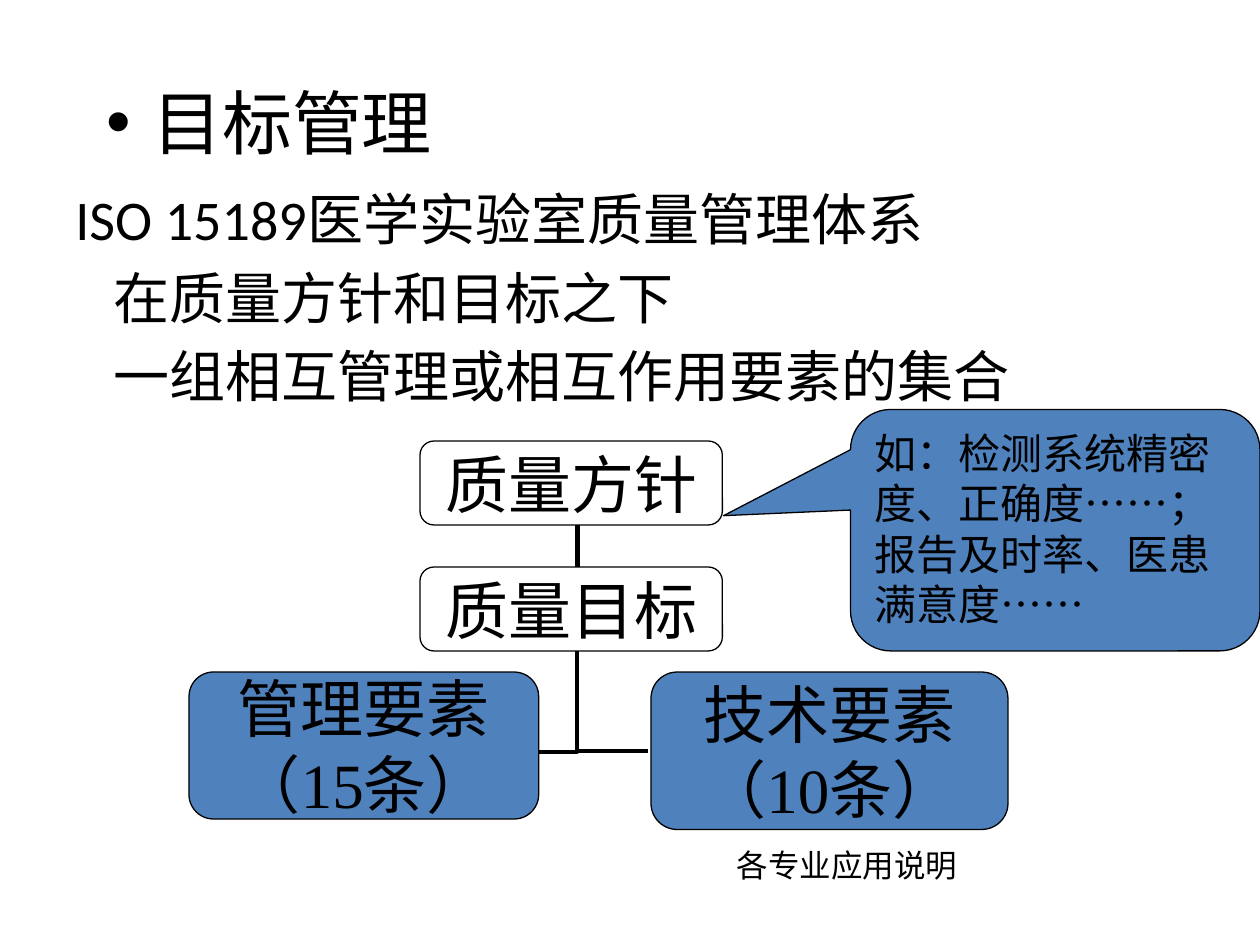
from lxml import etree
from pptx import Presentation
from pptx.dml.color import RGBColor
from pptx.enum.shapes import MSO_CONNECTOR, MSO_SHAPE
from pptx.enum.text import MSO_ANCHOR, PP_ALIGN
from pptx.oxml.ns import qn
from pptx.util import Inches, Pt

STRAIGHT, ELBOW = MSO_CONNECTOR.STRAIGHT, MSO_CONNECTOR.ELBOW
ROUNDED = MSO_SHAPE.ROUNDED_RECTANGLE
CALLOUT = MSO_SHAPE.ROUNDED_RECTANGULAR_CALLOUT
TOP, MIDDLE = MSO_ANCHOR.TOP, MSO_ANCHOR.MIDDLE
LEFT, CENTER = PP_ALIGN.LEFT, PP_ALIGN.CENTER

BLACK = RGBColor(0x00, 0x00, 0x00)
WHITE = RGBColor(0xFF, 0xFF, 0xFF)
BLUE = RGBColor(0x4F, 0x81, 0xBD)
SANS, CJK, SERIF = "Calibri", "Noto Sans CJK SC", "Times New Roman"
UNITS_PER_INCH = 12
TRUNK = 55


def grid(*units):
    """Turn grid units into slide lengths."""
    return [Inches(unit / UNITS_PER_INCH) for unit in units]


def add_span(para, text, size, font):
    """Add one black run to a paragraph."""
    span = para.add_run()
    span.text = text
    span.font.size = Pt(size)
    span.font.name = font
    span.font.color.rgb = BLACK


def indent(para, margin, first):
    """Set the left margin and first-line offset in inches."""
    props = para._p.get_or_add_pPr()
    props.set("marL", str(Inches(margin)))
    props.set("indent", str(Inches(first)))
    return props


def add_text(page, place, lines, size):
    """Add a text box whose lines are lists of (text, font) pairs."""
    frame = page.shapes.add_textbox(*grid(*place)).text_frame
    frame.word_wrap = True
    for number, spans in enumerate(lines):
        para = frame.add_paragraph() if number else frame.paragraphs[0]
        for text, font in spans:
            add_span(para, text, size, font)
    return frame.paragraphs


def add_heading(page):
    """Add the bulleted heading."""
    para = add_text(page, (9, 7, 54, 9.2), [[("目标管理", SANS)]], 40)[0]
    props = indent(para, 0.36, -0.36)
    etree.SubElement(props, qn("a:buFont")).set("typeface", "Arial")
    etree.SubElement(props, qn("a:buChar")).set("char", "•")


def add_definition(page):
    """Add the three-line definition with its later lines indented."""
    lines = [
        [("ISO 15189", SANS), ("医学实验室质量管理体系", CJK)],
        [("在质量方针和目标之下", CJK)],
        [("一组相互管理或相互作用要素的集合", CJK)],
    ]
    first, *rest = add_text(page, (6, 17, 108, 31.8), lines, 32)
    indent(first, 0.67, -0.67)
    for para in rest:
        indent(para, 0.67, -0.37)
        para.space_before = Pt(6.4)


def add_box(page, kind, place, fill, lines, size, font, align):
    """Add a filled, outlined shape with its text."""
    box = page.shapes.add_shape(kind, *grid(*place))
    box.shadow.inherit = False
    box.fill.solid()
    box.fill.fore_color.rgb = fill
    box.line.color.rgb = BLACK
    box.line.width = Pt(0.75)
    frame = box.text_frame
    for number, text in enumerate(lines):
        para = frame.add_paragraph() if number else frame.paragraphs[0]
        para.alignment = align
        add_span(para, text, size, font)
    return box


def add_node(page, place, fill, *lines):
    """Add a rounded chart node with centred text."""
    box = add_box(page, ROUNDED, place, fill, lines, 36, SERIF, CENTER)
    frame = box.text_frame
    frame.vertical_anchor = MIDDLE
    frame.word_wrap = False
    frame.margin_left = frame.margin_right = 0
    frame.margin_top = frame.margin_bottom = 0


def add_callout(page):
    """Add the callout that points at the policy node."""
    text = "如：检测系统精密度、正确度……；报告及时率、医患满意度……"
    box = add_box(page, CALLOUT, (81, 39, 39, 23), BLUE, [text], 24, SANS, LEFT)
    box.adjustments[0] = -0.81
    box.adjustments[1] = -0.06
    box.text_frame.vertical_anchor = TOP
    box.text_frame.word_wrap = True


def add_link(page, kind, ends, width):
    """Add a black connector; an elbow gets a single bend."""
    link = page.shapes.add_connector(kind, *grid(*ends))
    link.line.color.rgb = BLACK
    link.line.width = Pt(width)
    props = link._element.spPr
    etree.SubElement(props, qn("a:effectLst"))
    if kind == ELBOW:
        props.find(qn("a:prstGeom")).set("prst", "bentConnector2")


def main():
    """Build the slide and save it."""
    deck = Presentation()
    deck.slide_width, deck.slide_height = grid(120, 90)
    page = deck.slides.add_slide(deck.slide_layouts[6])
    add_definition(page)
    add_link(page, ELBOW, (61.7, 71.5, TRUNK, 63), 2.25)
    add_link(page, ELBOW, (50, 71.6, TRUNK, 55), 2.25)
    add_node(page, (40, 54, 28.8, 8), WHITE, "质量目标")
    add_node(page, (18, 64, 33.3, 14), BLUE, "管理要素", "（15条）")
    add_node(page, (62, 64, 34, 15), BLUE, "技术要素", "（10条）")
    add_text(page, (69, 80, 24, 4.8), [[("各专业应用说明", SANS)]], 18)
    add_callout(page)
    add_node(page, (40, 42, 28.8, 8), WHITE, "质量方针")
    add_link(page, STRAIGHT, (TRUNK, 50, TRUNK, 54), 3)
    add_heading(page)
    deck.save("out.pptx")


if __name__ == "__main__":
    main()
